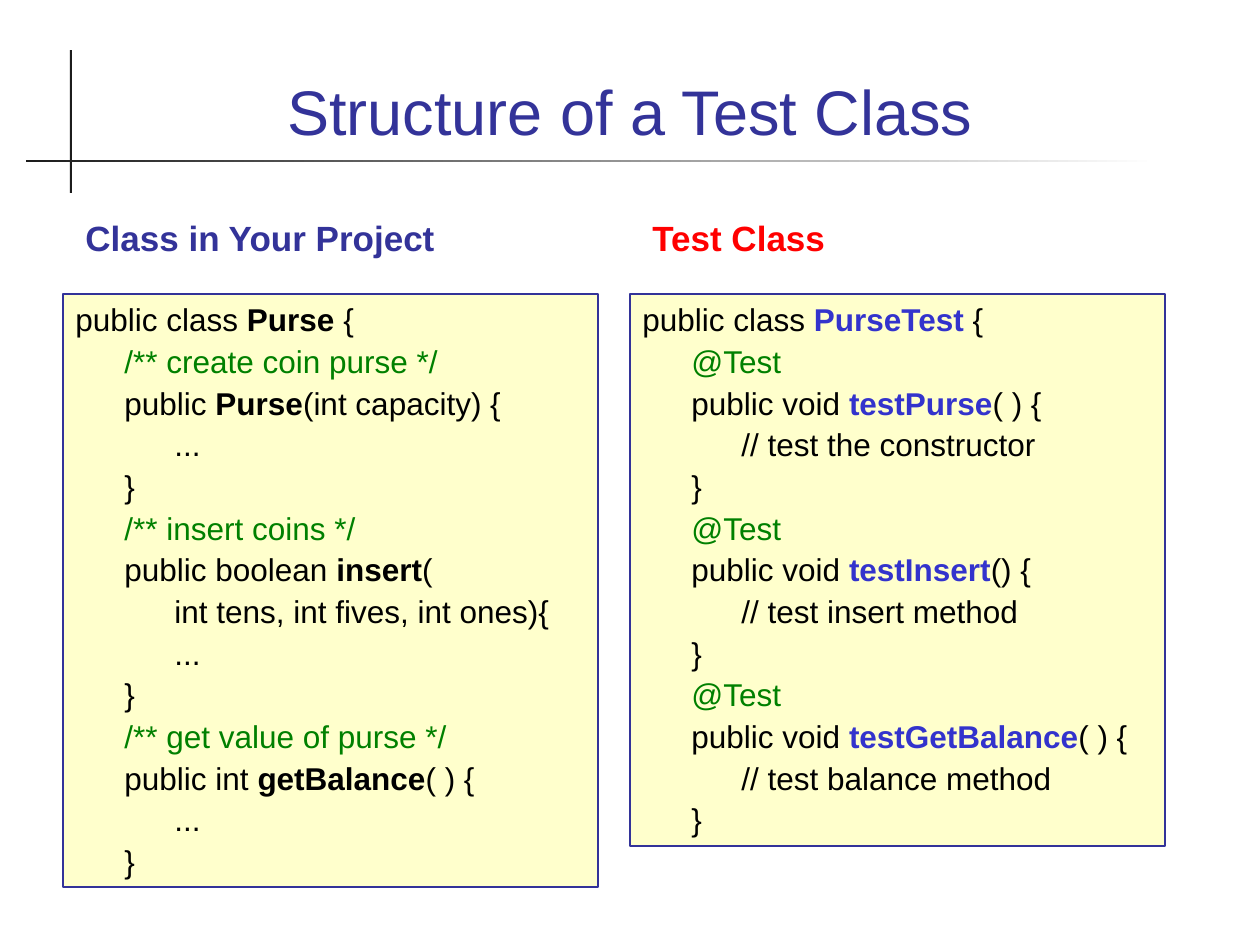
from lxml import etree
from pptx import Presentation
from pptx.dml.color import RGBColor
from pptx.enum.shapes import MSO_SHAPE
from pptx.enum.text import MSO_ANCHOR, MSO_AUTO_SIZE, PP_ALIGN
from pptx.oxml.ns import qn
from pptx.util import Pt

RECT = MSO_SHAPE.RECTANGLE
TOP, BOTTOM = MSO_ANCHOR.TOP, MSO_ANCHOR.BOTTOM
FIXED, GROW = MSO_AUTO_SIZE.NONE, MSO_AUTO_SIZE.SHAPE_TO_FIT_TEXT
LEFT, CENTER = PP_ALIGN.LEFT, PP_ALIGN.CENTER

SCALE = 914400 // 126
FONT = "Arial"
NAVY, BLUE, RED, GREEN = "333399", "3333CC", "FF0000", "008000"
BLACK, DARK, WHITE, CREAM = "000000", "1C1C1C", "FFFFFF", "FFFFCC"
STOPS = [step * 99 // 2 for step in range(1, 8)]

PURSE = [
    "public class |Purse| {",
    "\t/** create coin purse */",
    "\tpublic |Purse|(int capacity) {",
    "\t\t...",
    "\t}",
    "\t/** insert coins */",
    "\tpublic boolean |insert|(",
    "\t\tint tens, int fives, int ones){",
    "\t\t...",
    "\t}",
    "\t/** get value of purse */",
    "\tpublic int |getBalance|( ) {",
    "\t\t...",
    "\t}",
]
TESTS = [
    "public class |PurseTest| {",
    "\t@Test",
    "\tpublic void |testPurse|( ) {",
    "\t\t// test the constructor",
    "\t}",
    "\t@Test",
    "\tpublic void |testInsert|() {",
    "\t\t// test insert method",
    "\t}",
    "\t@Test",
    "\tpublic void |testGetBalance|( ) {",
    "\t\t// test balance method",
    "\t}",
]


def px(*sizes):
    return [size * SCALE for size in sizes]


def tint(code):
    return RGBColor.from_string(code)


def put(para, text, size=18, color=BLACK, bold=False):
    run = para.add_run()
    run.text = text
    font = run.font
    font.name, font.size, font.bold = FONT, Pt(size), bold
    font.color.rgb = tint(color)


def set_tabs(para, stops):
    tabs = etree.SubElement(para._p.get_or_add_pPr(), qn("a:tabLst"))
    for stop in px(*stops):
        etree.SubElement(tabs, qn("a:tab"), pos=str(stop), algn="l")


def set_frame(shape, anchor=TOP, fit=GROW):
    frame = shape.text_frame
    frame.word_wrap = True
    frame.auto_size = fit
    frame.vertical_anchor = anchor
    return frame


class Page:
    def __init__(self, deck):
        self.slide = deck.slides.add_slide(deck.slide_layouts[5])
        self.shapes = self.slide.shapes

    def title(self, text, *spot):
        shape = self.shapes.title
        shape.left, shape.top, shape.width, shape.height = px(*spot)
        para = set_frame(shape, BOTTOM, FIXED).paragraphs[0]
        para.alignment = CENTER
        put(para, text, size=36, color=NAVY)

    def rect(self, *spot, fill):
        shape = self.shapes.add_shape(RECT, *px(*spot))
        shape.shadow.inherit = False
        shape.fill.solid()
        shape.fill.fore_color.rgb = tint(fill)
        shape.line.fill.background()
        return shape

    def fade(self, *spot, start, end):
        fill = self.rect(*spot, fill=start).fill
        fill.gradient()
        fill.gradient_angle = 0
        for stop, code in zip(fill.gradient_stops, (start, end)):
            stop.color.rgb = tint(code)

    def heads(self, parts, *spot, stop):
        para = set_frame(self.shapes.add_textbox(*px(*spot))).paragraphs[0]
        set_tabs(para, [stop])
        for text, color in parts:
            put(para, text, size=20, color=color, bold=True)

    def code(self, lines, *spot, accent):
        shape = self.rect(*spot, fill=CREAM)
        shape.line.color.rgb = tint(NAVY)
        shape.line.width = Pt(0.75)
        frame = set_frame(shape)
        for row, line in enumerate(lines):
            para = frame.add_paragraph() if row else frame.paragraphs[0]
            set_tabs(para, STOPS)
            para.alignment = LEFT
            if row:
                para.space_before = Pt(2.2)
            plain = GREEN if line.startswith(("\t/**", "\t@")) else BLACK
            for part, text in enumerate(line.split("|")):
                bold = part % 2 == 1
                put(para, text, color=accent if bold else plain, bold=bold)


def main():
    deck = Presentation()
    deck.slide_width, deck.slide_height = px(1260, 945)
    page = Page(deck)
    page.rect(70, 50, 2, 143, fill=DARK)
    page.fade(26, 160, 1131, 2, start=DARK, end=WHITE)
    page.title("Structure of a Test Class", 84, 35, 1092, 119)
    page.code(PURSE, 63, 294, 535, 593, accent=BLACK)
    page.heads([("Class in Your Project\t", NAVY), ("Test Class", RED)],
               73, 210, 1113, 55, stop=567)
    page.code(TESTS, 630, 294, 535, 552, accent=BLUE)
    deck.save("out.pptx")


if __name__ == "__main__":
    main()
